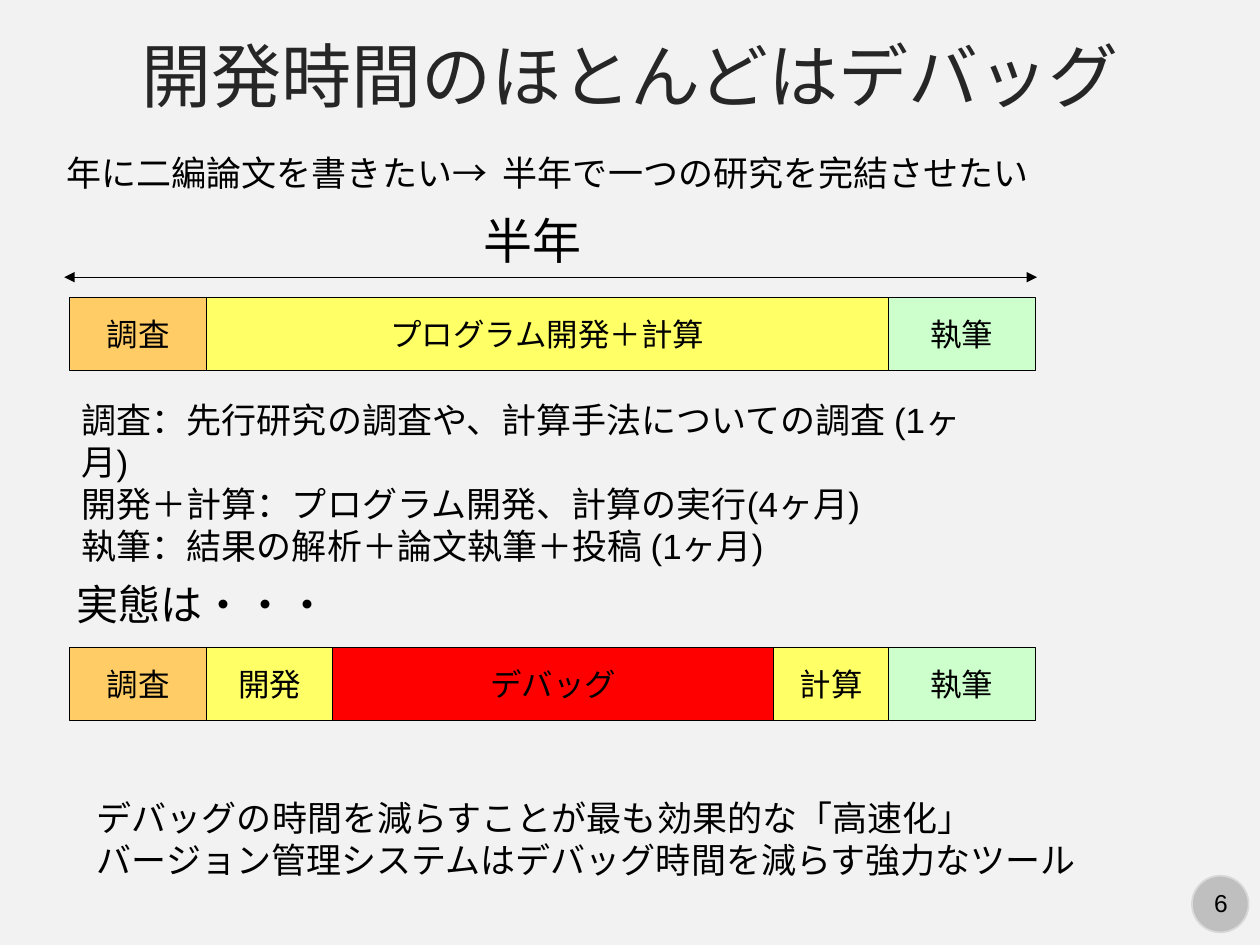
"""Build a slide on how debugging fills most of the development time."""
from lxml import etree
from pptx import Presentation, util as u
from pptx.dml.color import RGBColor
from pptx.enum import shapes, text
from pptx.oxml import ns

HUES = {
    "back": "F2F2F2", "ink": "000000", "title": "262626",
    "survey": "FFCC66", "code": "FFFF66", "debug": "FF0000", "write": "CCFFCC",
    "badge": "BFBFBF", "rim": "D9D9D9",
}
LEFT, MID, TOP = text.PP_ALIGN.LEFT, text.PP_ALIGN.CENTER, text.MSO_ANCHOR.TOP


def hue(name):
    return RGBColor.from_string(HUES[name])


def put(words, box, size=20, ink="ink", align=LEFT, anchor=TOP, fill=None,
        edge="ink", width=0.5, kind=shapes.MSO_SHAPE.RECTANGLE):
    spot = [u.Inches(n) for n in box]
    if fill:
        item = deck.shapes.add_shape(kind, *spot)
        item.shadow.inherit = False
        item.fill.solid()
        item.fill.fore_color.rgb = hue(fill)
        item.line.color.rgb = hue(edge)
        item.line.width = u.Pt(width)
    else:
        item = deck.shapes.add_textbox(*spot)
    frame = item.text_frame
    frame.word_wrap = True
    frame.vertical_anchor = anchor
    frame.text = words
    for para in frame.paragraphs:
        para.alignment = align
        para.font.size = u.Pt(size)
        para.font.name = "Arial"
        para.font.color.rgb = hue(ink)


show = Presentation()
show.slide_width, show.slide_height = u.Inches(10), u.Inches(7.5)
deck = show.slides.add_slide(show.slide_layouts[6])
deck.background.fill.solid()
deck.background.fill.fore_color.rgb = hue("back")

put("", (9.46, 6.95, 0.45, 0.45), fill="badge", edge="rim", width=1,
    kind=shapes.MSO_SHAPE.OVAL)
put("6", (9.47, 7, 0.44, 0.34), size=14, align=MID)
put("開発時間のほとんどはデバッグ", (0, 0.21, 10, 0.82), size=40,
    ink="title", align=MID)
put("年に二編論文を書きたい→  半年で一つの研究を完結させたい",
    (0.43, 1.15, 7.93, 0.44))
put("半年", (3.74, 1.62, 0.99, 0.57), size=28)
put("調査：先行研究の調査や、計算手法についての調査 (1ヶ月)\n"
    "開発＋計算：プログラム開発、計算の実行(4ヶ月)\n"
    "執筆：結果の解析＋論文執筆＋投稿 (1ヶ月)", (0.55, 3.11, 7.27, 1.43))
put("実態は・・・", (0.51, 4.54, 2.22, 0.5), size=24)
put("デバッグの時間を減らすことが最も効果的な「高速化」\n"
    "バージョン管理システムはデバッグ時間を減らす強力なツール",
    (0.67, 6.27, 8.06, 0.77))

start, end = 0.55, 8.22
plan = [("調査", "survey", 1.64), ("プログラム開発＋計算", "code", 7.05),
        ("執筆", "write", end)]
real = [plan[0], ("開発", "code", 2.64), ("デバッグ", "debug", 6.14),
        ("計算", "code", 7.05), plan[-1]]
for top, bar in ((2.36, plan), (5.14, real)):
    left = start
    for name, fill, right in bar:
        put(name, (left, top, right - left, 0.58), size=18, align=MID,
            anchor=text.MSO_ANCHOR.MIDDLE, fill=fill)
        left = right

span = deck.shapes.add_connector(
    shapes.MSO_CONNECTOR.STRAIGHT,
    u.Inches(0.51), u.Inches(2.2), u.Inches(8.23), u.Inches(2.2))
span.line.color.rgb = hue("ink")
span.line.width = u.Pt(0.5)
for tip in ("a:headEnd", "a:tailEnd"):
    etree.SubElement(span.line._get_or_add_ln(), ns.qn(tip), type="triangle")
etree.SubElement(span._element.spPr, ns.qn("a:effectLst"))

show.save("out.pptx")
